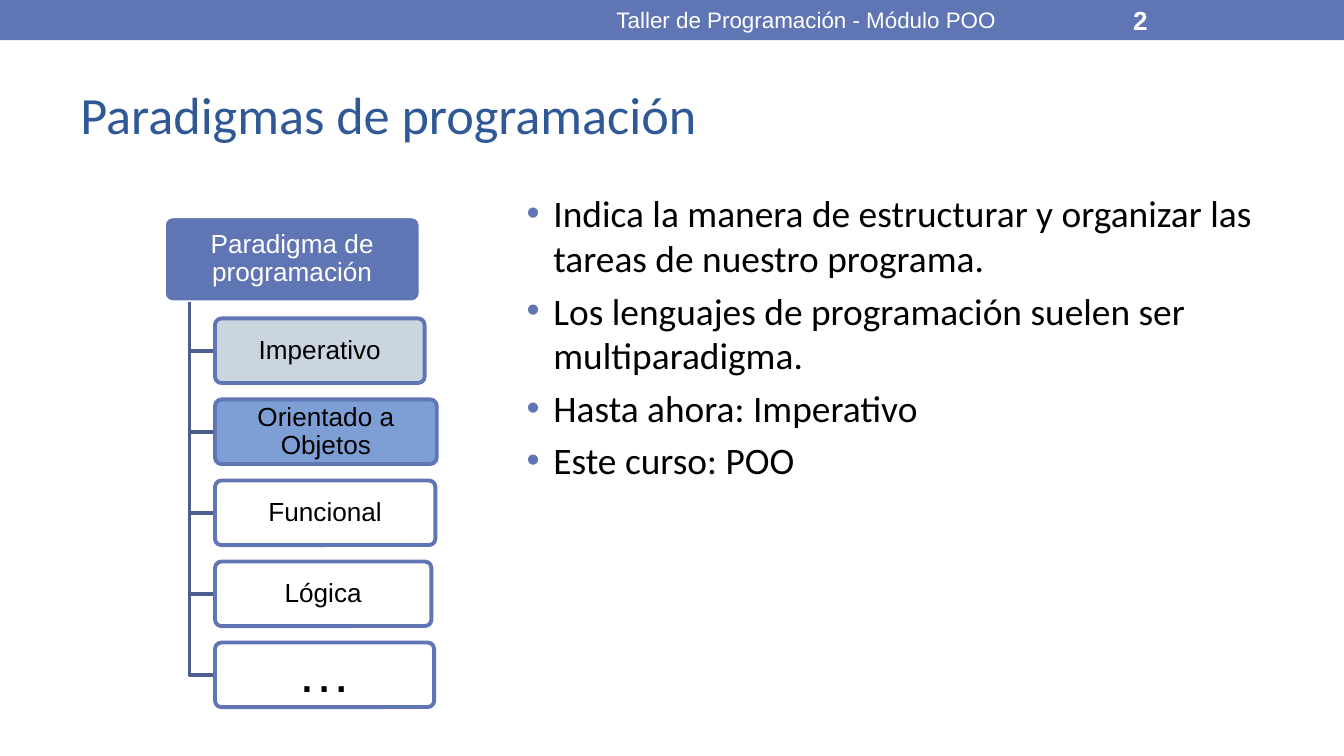
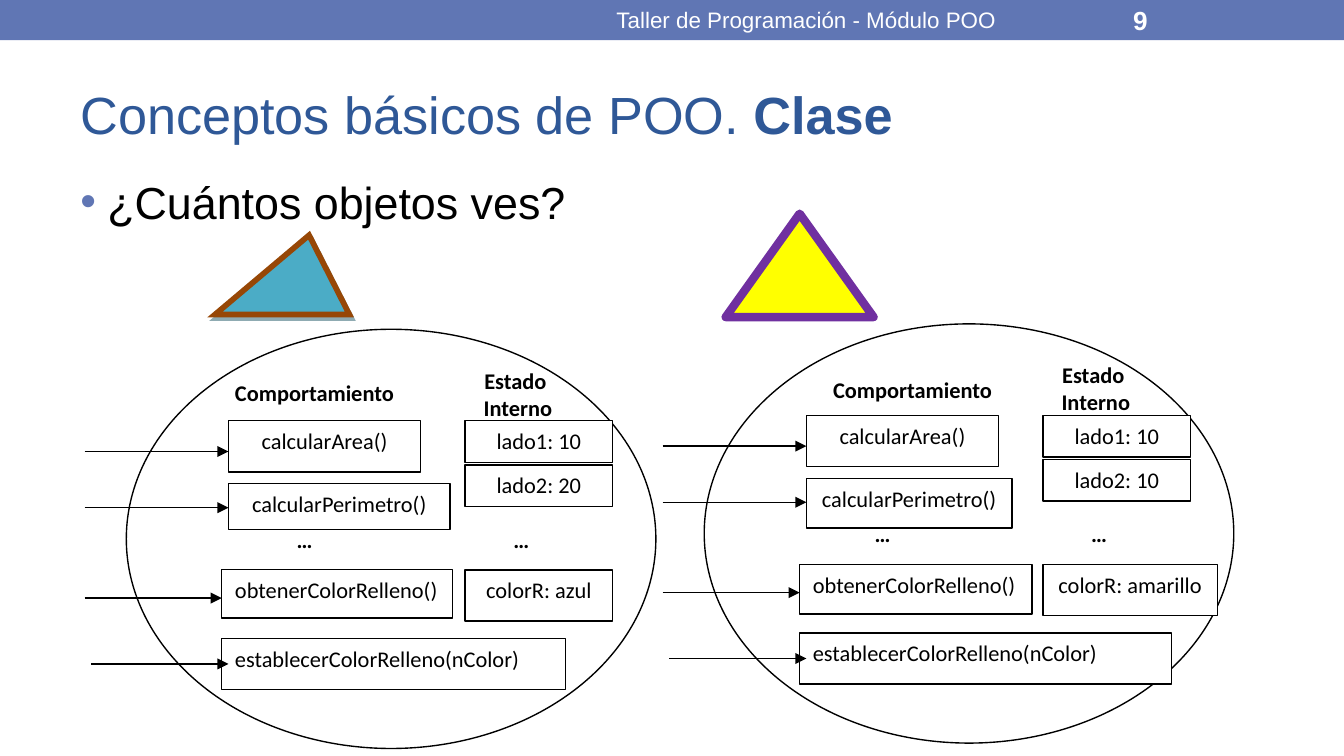
from lxml.etree import SubElement
from pptx import Presentation
from pptx.dml.color import RGBColor
from pptx.enum.shapes import MSO_CONNECTOR, MSO_SHAPE
from pptx.enum.text import MSO_ANCHOR, PP_ALIGN
from pptx.oxml.ns import qn
from pptx.util import Pt

SLIDE_WIDTH, SLIDE_HEIGHT = 720, 405
BLUE, TITLE_BLUE, TREE_LINE = "6076B4", "2F5897", "4C5D8E"
BLACK, WHITE = "000000", "FFFFFF"
COURSE = "Taller de Programación - Módulo POO"
TITLE_BOX = (36, 31.7, 648, 58.3)
MARGINS = (7.2, 3.6)
CENTER, LEFT = PP_ALIGN.CENTER, PP_ALIGN.LEFT


def rgb(color):
    return RGBColor.from_string(color)


def style_run(run, size, font, color, bold=False):
    run.font.size = Pt(size)
    run.font.name = font
    run.font.color.rgb = rgb(color)
    run.font.bold = bold


def write(holder, text, size, font="Calibri", color=BLACK, bold=False,
          align=LEFT, anchor=MSO_ANCHOR.TOP, margins=MARGINS, spacing=None):
    """Fill a shape or text box; each line of text is one paragraph."""
    frame = holder.text_frame
    frame.word_wrap = True
    frame.vertical_anchor = anchor
    frame.margin_left = frame.margin_right = Pt(margins[0])
    frame.margin_top = frame.margin_bottom = Pt(margins[1])
    frame.text = text
    for paragraph in frame.paragraphs:
        paragraph.alignment = align
        if spacing:
            paragraph.line_spacing = spacing
        for run in paragraph.runs:
            style_run(run, size, font, color, bold)
    return frame


def add_text(slide, box, text, size, **style):
    holder = slide.shapes.add_textbox(*map(Pt, box))
    return write(holder, text, size, **style)


def add_block(slide, preset, box, fill, line=None, width=0.75):
    block = slide.shapes.add_shape(preset, *map(Pt, box))
    block.shadow.inherit = False
    block.fill.solid()
    block.fill.fore_color.rgb = rgb(fill)
    if line:
        block.line.color.rgb = rgb(line)
        block.line.width = Pt(width)
    else:
        block.line.fill.background()
    return block


def add_bullets(slide, box, text, size, font):
    frame = add_text(slide, box, text, size, font=font)
    for index, paragraph in enumerate(frame.paragraphs):
        paragraph.space_before = Pt(4 if index else 0)
        properties = paragraph._p.get_or_add_pPr()
        properties.set("marL", str(Pt(14.4)))
        properties.set("indent", str(Pt(-14.4)))
        bullet_color = SubElement(properties, qn("a:buClr"))
        SubElement(bullet_color, qn("a:srgbClr"), val=BLUE)
        SubElement(properties, qn("a:buFont"), typeface="Arial")
        SubElement(properties, qn("a:buChar"), char="•")


def add_page(deck, number, title, title_font, emphasis=""):
    """Add a slide with the header band, its number and its title."""
    slide = deck.slides.add_slide(deck.slide_layouts[6])
    middle = MSO_ANCHOR.MIDDLE
    add_block(slide, MSO_SHAPE.RECTANGLE, (0, 0, SLIDE_WIDTH, 21.6), BLUE)
    heading = add_text(slide, TITLE_BOX, title, 28, font=title_font,
                       color=TITLE_BLUE, anchor=middle)
    if emphasis:
        run = heading.paragraphs[0].add_run()
        run.text = emphasis
        style_run(run, 28, title_font, TITLE_BLUE, bold=True)
    add_text(slide, (270, 0.9, 324, 19.4), COURSE, 12, font="Arial",
             color=WHITE, align=CENTER, anchor=middle)
    add_text(slide, (600, 0.9, 84, 19.4), str(number), 14, font="Arial",
             color=WHITE, bold=True, anchor=middle)
    return slide


def add_tree_node(slide, box, label, fill, line, color, size=14):
    node = add_block(slide, MSO_SHAPE.ROUNDED_RECTANGLE, box, fill, line, 2.08)
    node.adjustments[0] = 0.1
    write(node, label, size, font="Arial", color=color, align=CENTER,
          anchor=MSO_ANCHOR.MIDDLE, margins=(3.6, 2.9), spacing=0.9)
    return node


def add_elbow(slide, x, top, branch_x, branch_y):
    builder = slide.shapes.build_freeform(Pt(x), Pt(top))
    builder.add_line_segments([(Pt(x), Pt(branch_y)),
                               (Pt(branch_x), Pt(branch_y))], close=False)
    elbow = builder.convert_to_shape()
    elbow.shadow.inherit = False
    elbow.fill.background()
    elbow.line.color.rgb = rgb(TREE_LINE)
    elbow.line.width = Pt(2.08)


def add_paradigm_tree(slide, left, top):
    root_width, root_height = 137.5, 46.1
    row_height, pitch, first_row, indent = 34.6, 43.4, 54.7, 27.4
    paradigms = [
        ("Imperativo", "C6D1DD", 112.3, 14),
        ("Orientado a Objetos", "6F95D2", 118.8, 14),
        ("Funcional", WHITE, 118.1, 14),
        ("Lógica", WHITE, 115.9, 14),
        ("…", WHITE, 117.4, 29),
    ]
    add_tree_node(slide, (left, top, root_width, root_height),
                  "Paradigma de programación", BLUE, WHITE, WHITE)
    for row, (label, fill, width, size) in enumerate(paradigms):
        y = top + first_row + row * pitch
        add_elbow(slide, left + root_width / 10, top + root_height,
                  left + indent, y + row_height / 2)
        node = add_tree_node(slide, (left + indent, y, width, row_height),
                             label, fill, BLUE, BLACK, size)
        fill_color = node.element.spPr.find(qn("a:solidFill"))[0]
        SubElement(fill_color, qn("a:alpha"), val="90000")


def add_arrow(slide, x1, x2, y):
    arrow = slide.shapes.add_connector(MSO_CONNECTOR.STRAIGHT,
                                       Pt(x1), Pt(y), Pt(x2), Pt(y))
    arrow.line.color.rgb = rgb(BLACK)
    arrow.line.width = Pt(0.75)
    SubElement(arrow.line._get_or_add_ln(), qn("a:tailEnd"), type="triangle")
    SubElement(arrow.element.spPr, qn("a:effectLst"))


def add_triangle(slide, box, apex, fill, line, width):
    triangle = add_block(slide, MSO_SHAPE.ISOSCELES_TRIANGLE, box, fill, line, width)
    triangle.adjustments[0] = apex
    return triangle


def add_blue_triangle(slide, box):
    """Scalene triangle with sharp corners and a hard shadow."""
    triangle = add_triangle(slide, box, 0.7, "4BACC6", "974706", 3)
    SubElement(triangle.line._get_or_add_ln(), qn("a:miter"), lim="800000")
    effects = triangle.element.spPr.find(qn("a:effectLst"))
    shadow = SubElement(effects, qn("a:outerShdw"), blurRad="0", dist=str(Pt(2.2)),
                        dir=str(63 * 60000), algn="ctr", rotWithShape="0")
    shadow_color = SubElement(shadow, qn("a:srgbClr"), val="205867")
    SubElement(shadow_color, qn("a:alpha"), val="50000")


def add_object_diagram(slide, left, top, methods, state, heading):
    """Draw an object as an ellipse holding its methods and its state.

    methods gives the width and height of each method box, state the text and
    width of each field, heading the place of the behaviour heading.
    """
    def at(x, y, width, height):
        return left + x, top + y, width, height

    def boxed(box, text, align=CENTER):
        block = add_block(slide, MSO_SHAPE.RECTANGLE, at(*box), WHITE, BLACK)
        write(block, text, 12, align=align)

    add_block(slide, MSO_SHAPE.OVAL, at(0, 0, 283.7, 224.6), WHITE, BLACK)
    add_text(slide, at(*heading, 109.4, 31), "Comportamiento", 12, bold=True)
    add_text(slide, at(156.2, 16.6, 104.4, 31), "Estado\n Interno", 12,
             bold=True, align=CENTER)

    # name, x, y, alignment, arrow start, arrow end, arrow y
    method_rows = [
        ("calcularArea()", 54.7, 49, CENTER, -22.3, 54.7, 65.5),
        ("calcularPerimetro()", 54.7, 82.8, CENTER, -22.3, 54.7, 95.6),
        ("obtenerColorRelleno()", 51.1, 128.9, LEFT, -22.3, 51.1, 144),
        ("establecerColorRelleno(nColor)", 51.1, 165.6, LEFT, -18.7, 54.7, 179.3),
    ]
    for (name, x, y, align, start, end, arrow_y), size in zip(method_rows, methods):
        boxed((x, y, *size), name, align)
        add_arrow(slide, left + start, left + end, top + arrow_y)

    field_rows = [(49, 22.3), (72.7, 22.3), (128.9, 27.4)]
    for (y, height), (field, width) in zip(field_rows, state):
        boxed((181.4, y, width, height), field)
    for x in (84.2, 200.2):
        add_text(slide, at(x, 101.9, 100, 33.8), "…", 12, bold=True)


def add_paradigms_slide(deck):
    slide = add_page(deck, 2, "Paradigmas de programación", "Calibri")
    add_paradigm_tree(slide, 87.8, 115.9)
    add_bullets(slide, (275, 98.6, 425.5, 278.6), "\n".join([
        "Indica la manera de estructurar y organizar las tareas de nuestro programa.",
        "Los lenguajes de programación suelen ser multiparadigma.",
        "Hasta ahora: Imperativo",
        "Este curso: POO",
    ]), 20, "Calibri")


def add_class_slide(deck):
    slide = add_page(deck, 9, "Conceptos básicos de POO. ", "Arial", "Clase")
    add_bullets(slide, (36, 90, 653, 62.6), "¿Cuántos objetos ves?", 24, "Arial")
    add_object_diagram(
        slide, 67.7, 176.4,
        methods=[(103, 27.4), (118.8, 24.5), (123.8, 25.9), (184.3, 27.4)],
        state=[("lado1: 10", 79.2), ("lado2: 20", 79.2), ("colorR: azul", 79.2)],
        heading=(51.1, 23))
    add_blue_triangle(slide, (115.2, 126, 72, 42.5))
    add_triangle(slide, (388.8, 114.5, 79.2, 55.4), 0.5, "FFFF00", "7030A0", 4.5)
    add_object_diagram(
        slide, 377.3, 173.5,
        methods=[(103, 27.4), (110.2, 26.6), (124.6, 26.6), (199.4, 27.4)],
        state=[("lado1: 10", 79.2), ("lado2: 10", 79.2), ("colorR: amarillo", 93.6)],
        heading=(61.9, 24.5))


def main():
    deck = Presentation()
    deck.slide_width, deck.slide_height = Pt(SLIDE_WIDTH), Pt(SLIDE_HEIGHT)
    add_paradigms_slide(deck)
    add_class_slide(deck)
    deck.save("out.pptx")


if __name__ == "__main__":
    main()
